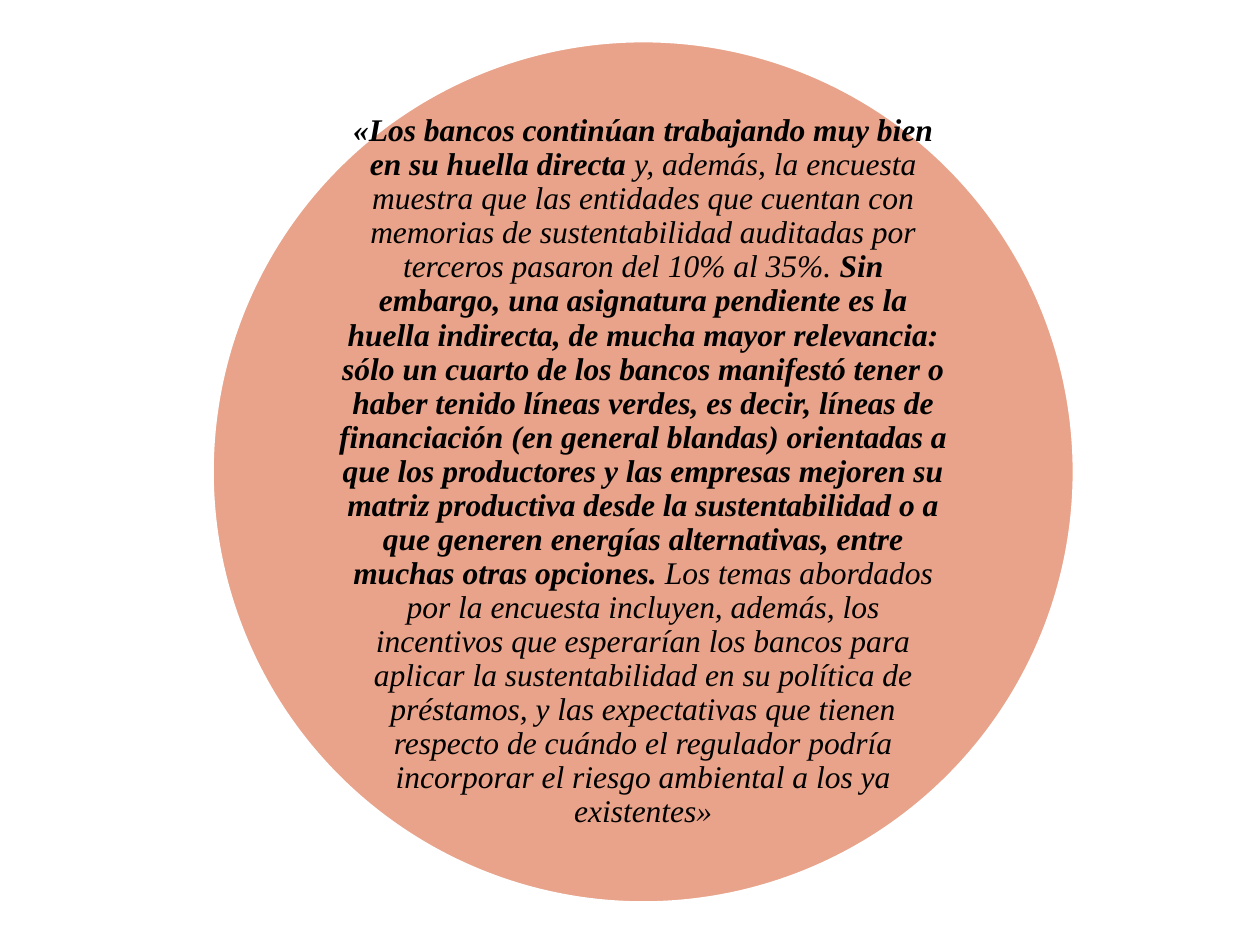
from math import sqrt

from lxml.etree import SubElement
from pptx import Presentation
from pptx.dml.color import RGBColor
from pptx.enum.shapes import MSO_SHAPE as Shape
from pptx.enum.text import MSO_ANCHOR as Anchor, PP_ALIGN as Align
from pptx.oxml.ns import qn
from pptx.util import Inches, Pt

ORANGE = RGBColor(0xD3, 0x48, 0x17)
WHITE = RGBColor(0xFF, 0xFF, 0xFF)
BLACK = RGBColor(0x00, 0x00, 0x00)

# Wording and whether it is bold
QUOTE = [
    ("«Los bancos continúan trabajando muy bien en su huella directa", True),
    (" y, además, la encuesta muestra que las entidades que cuentan con memorias "
     "de sustentabilidad auditadas por terceros pasaron del 10% al 35%. ", False),
    ("Sin embargo, una asignatura pendiente es la huella indirecta, de mucha mayor "
     "relevancia: sólo un cuarto de los bancos manifestó tener o haber tenido líneas "
     "verdes, es decir, líneas de financiación (en general blandas) orientadas a que "
     "los productores y las empresas mejoren su matriz productiva desde la "
     "sustentabilidad o a que generen energías alternativas, entre muchas otras "
     "opciones.", True),
    (" Los temas abordados por la encuesta incluyen, además, los incentivos que "
     "esperarían los bancos para aplicar la sustentabilidad en su política de "
     "préstamos, y las expectativas que tienen respecto de cuándo el regulador podría "
     "incorporar el riesgo ambiental a los ya existentes»", False),
]


def add_circle(page, left, top, size):
    circle = page.shapes.add_shape(Shape.OVAL, left, top, size, size)
    circle.shadow.inherit = False
    circle.fill.solid()
    circle.fill.fore_color.rgb = ORANGE
    color = circle.fill._xPr.find(qn("a:solidFill"))[0]
    SubElement(color, qn("a:alpha")).set("val", "50000")
    circle.line.color.rgb = WHITE
    circle.line.width = Pt(1)


def add_quote(page, left, top, size):
    """Set the quotation in the square inscribed in a circle of this size."""
    side = int(size / sqrt(2))
    inset = (size - side) // 2
    box = page.shapes.add_textbox(left + inset, top + inset, side, side)
    frame = box.text_frame
    frame.word_wrap = True
    frame.vertical_anchor = Anchor.MIDDLE
    frame.margin_left = frame.margin_right = 0
    frame.margin_top = frame.margin_bottom = 0

    para = frame.paragraphs[0]
    para.alignment = Align.CENTER
    para.line_spacing = 0.9
    para.font.name = "Times New Roman"
    para.font.size = Pt(18)
    para.font.italic = True
    para.font.color.rgb = BLACK
    for words, bold in QUOTE:
        span = para.add_run()
        span.text = words
        span.font.bold = bold


def main():
    deck = Presentation()
    deck.slide_width, deck.slide_height = Inches(10), Inches(7.5)
    page = deck.slides.add_slide(deck.slide_layouts[6])
    circle_box = Inches(1.69), Inches(0.33), Inches(6.83)
    add_circle(page, *circle_box)
    add_quote(page, *circle_box)
    deck.save("out.pptx")


if __name__ == "__main__":
    main()
